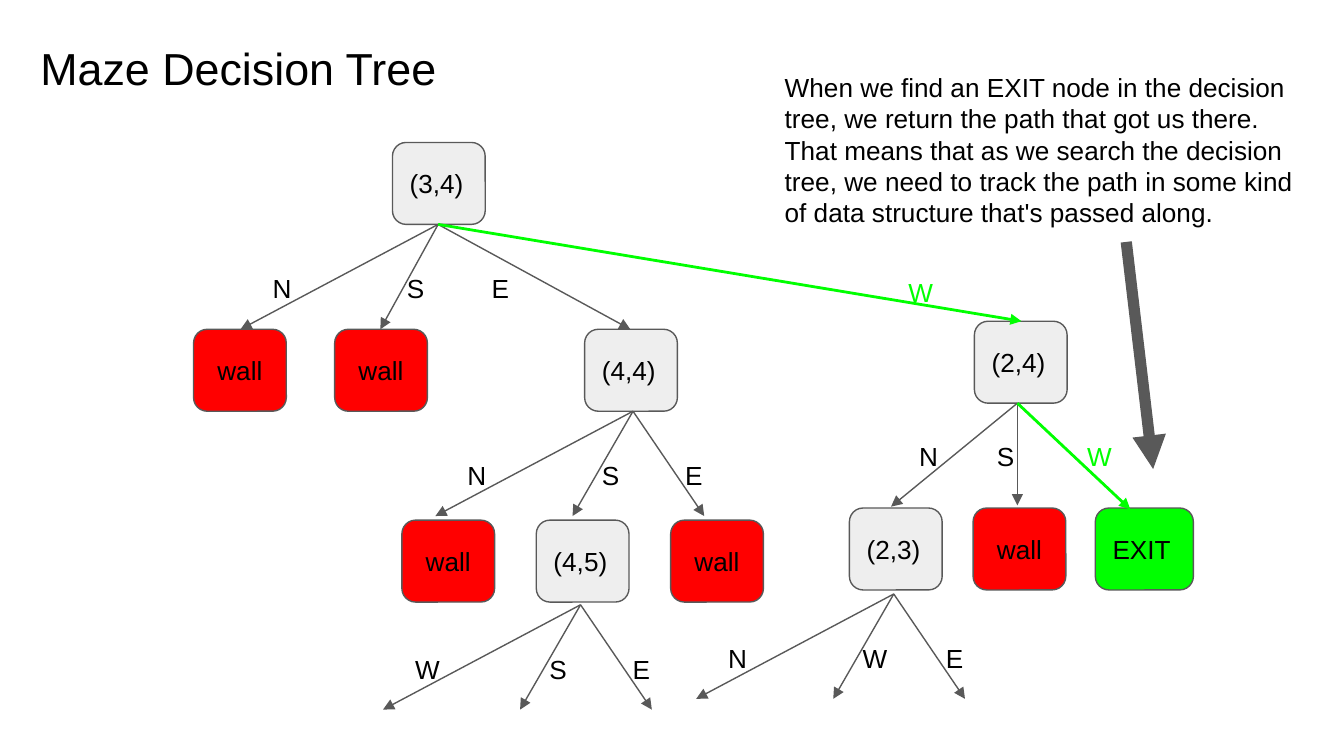
from lxml import etree
from pptx import Presentation
from pptx.dml.color import RGBColor
from pptx.enum.shapes import MSO_CONNECTOR, MSO_SHAPE
from pptx.enum.text import MSO_ANCHOR, MSO_AUTO_SIZE, PP_ALIGN
from pptx.oxml.ns import qn
from pptx.util import Inches, Pt

LEFT, CENTER = PP_ALIGN.LEFT, PP_ALIGN.CENTER
TOP, MIDDLE = MSO_ANCHOR.TOP, MSO_ANCHOR.MIDDLE
ROUND, STRAIGHT = MSO_SHAPE.ROUNDED_RECTANGLE, MSO_CONNECTOR.STRAIGHT
FIXED = MSO_AUTO_SIZE.NONE

BLACK, GRAY, PALE = "000000", "595959", "EEEEEE"
RED, GREEN = "FF0000", "00FF00"
WIDE, HIGH = 0.69, 0.61  # size of a tree node

# Rows of nodes: top edge, then text and left edge of each node
ROWS = [
    (1.06, [("(3,4)", 2.92)]),
    (2.45, [("wall", 1.44), ("wall", 2.49), ("(4,4)", 4.35)]),
    (2.39, [("(2,4)", 7.25)]),
    (3.87, [("wall", 2.99), ("(4,5)", 3.99), ("wall", 4.99)]),
    (3.78, [("(2,3)", 6.32), ("wall", 7.24), ("EXIT", 8.15)]),
]
FILLS = {"wall": RED, "EXIT": GREEN}

# Branches from a node: arrow end and label corner, relative to the apex
FAN = [(-1.47, 0.78, -1.33, 0.26), (-0.45, 0.78, -0.33, 0.26),
       (0.53, 0.78, 0.29, 0.26)]
ROOT = [(-1.47, 0.78, -1.33, 0.26), (-0.43, 0.78, -0.33, 0.26),
        (1.43, 0.78, 0.3, 0.26), (4.34, 0.72, 3.4, 0.29)]
EAST = [(-0.94, 0.77, -0.83, 0.18), (0, 0.76, -0.25, 0.18),
        (0.84, 0.79, 0.42, 0.18)]
# Apex, letters, branch shape, index of the branch on the exit path
FANS = [
    (3.26, 1.67, "NSEW", ROOT, 3),
    (7.57, 3.0, "NSW", EAST, 2),
    (4.71, 3.06, "NSE", FAN, None),
    (4.32, 4.5, "WSE", FAN, None),
    (6.65, 4.42, "NWE", FAN, None),
]

NOTE = ("When we find an EXIT node in the decision tree, we return the path "
        "that got us there. That means that as we search the decision tree, "
        "we need to track the path in some kind of data structure that's "
        "passed along.")


def color(code):
    return RGBColor.from_string(code)


def place(shape, x, y, w, h):
    shape.left, shape.top = Inches(x), Inches(y)
    shape.width, shape.height = Inches(w), Inches(h)


def write(shape, text, size=14, ink=BLACK, align=LEFT, anchor=TOP):
    frame = shape.text_frame
    frame.word_wrap = True
    frame.auto_size = FIXED
    frame.vertical_anchor = anchor
    frame.margin_left = frame.margin_right = Inches(0.1)
    frame.margin_top = frame.margin_bottom = Inches(0.1)
    para = frame.paragraphs[0]
    para.alignment = align
    run = para.add_run()
    run.text = text
    run.font.size, run.font.name = Pt(size), "Arial"
    run.font.color.rgb = color(ink)


def label(slide, text, x, y, w=0.3, h=0.44, **style):
    box = slide.shapes.add_textbox(*map(Inches, (x, y, w, h)))
    write(box, text, **style)


def node(slide, text, x, y):
    wide = 0.73 if text == "EXIT" else WIDE
    box = slide.shapes.add_shape(ROUND, *map(Inches, (x, y, wide, HIGH)))
    box.shadow.inherit = False
    box.fill.solid()
    box.fill.fore_color.rgb = color(FILLS.get(text, PALE))
    box.line.color.rgb = color(GRAY)
    box.line.width = Pt(0.75)
    write(box, text, align=CENTER if text == "wall" else LEFT, anchor=MIDDLE)


def arrow(slide, x1, y1, x2, y2, ink=GRAY, width=0.75):
    line = slide.shapes.add_connector(STRAIGHT, *map(Inches, (x1, y1, x2, y2)))
    line.line.color.rgb = color(ink)
    line.line.width = Pt(width)
    props = line.element.spPr
    etree.SubElement(props.find(qn("a:ln")), qn("a:tailEnd"), type="triangle")
    etree.SubElement(props, qn("a:effectLst"))


def fan(slide, x, y, letters, shape, exit_way):
    for i, (letter, (dx, dy, lx, ly)) in enumerate(zip(letters, shape)):
        found = i == exit_way
        arrow(slide, x, y, x + dx, y + dy, ink=GREEN if found else GRAY,
              width=1.5 if found else 0.75)
        label(slide, letter, x + lx, y + ly, ink=GREEN if found else BLACK)


def main():
    deck = Presentation()
    deck.slide_width = Inches(10)
    deck.slide_height = deck.slide_width * 9 // 16
    slide = deck.slides.add_slide(deck.slide_layouts[5])

    # Title
    title = slide.shapes.title
    place(title, 0.2, 0.2, 5.22, 0.61)
    write(title, "Maze Decision Tree", size=24)

    # Tree
    for y, row in ROWS:
        for text, x in row:
            node(slide, text, x, y)
    for branch in FANS:
        fan(slide, *branch)

    # Note with its pointer to the exit
    arrow(slide, 8.38, 1.8, 8.58, 3.49, width=6)
    label(slide, NOTE, 5.74, 0.43, 4.12, 1.38)

    deck.save("out.pptx")


if __name__ == "__main__":
    main()
